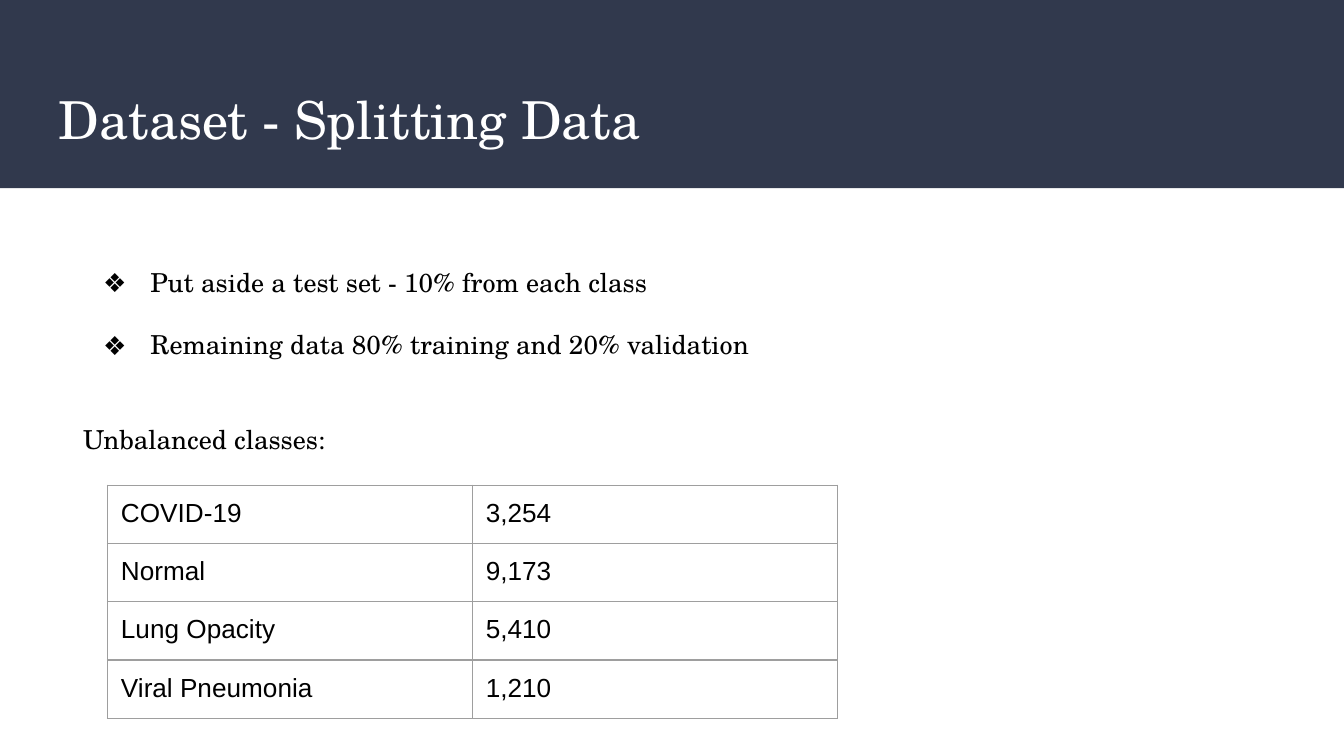
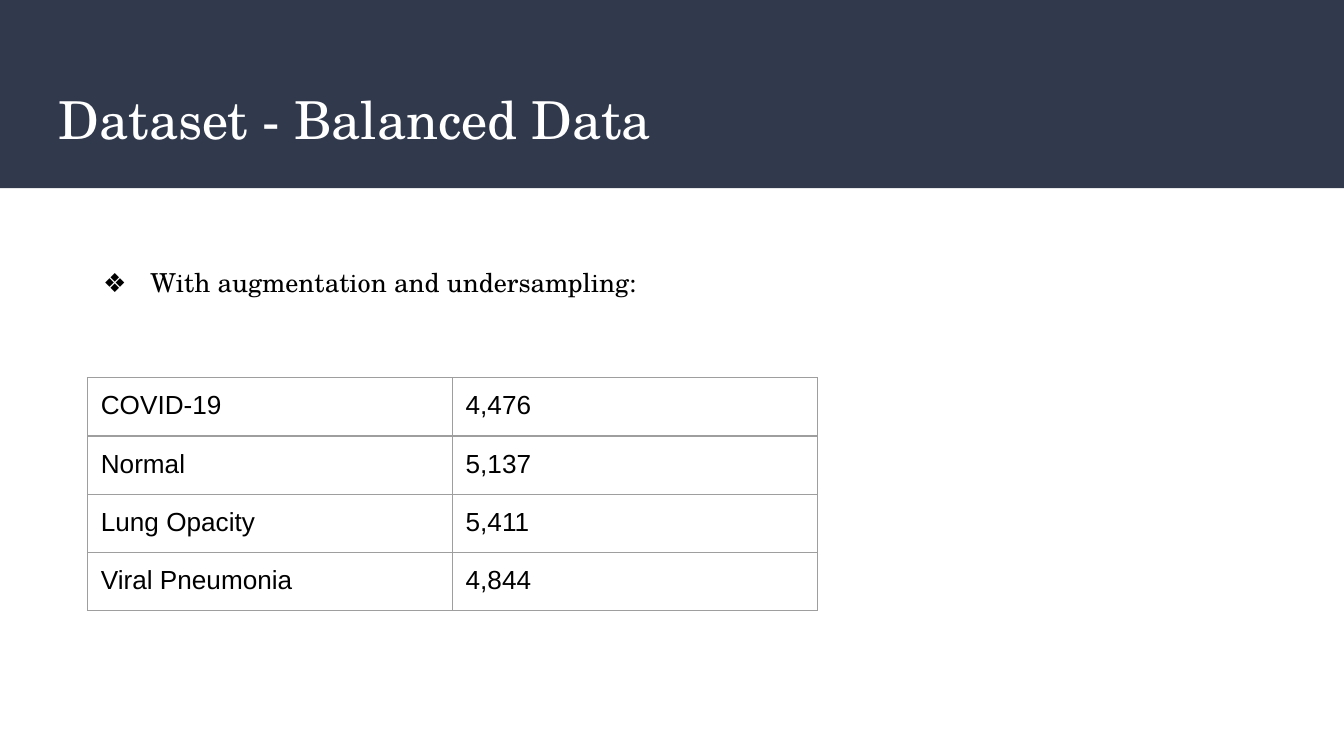
from dataclasses import dataclass

from lxml import etree
from pptx import Presentation
from pptx.dml.color import RGBColor
from pptx.enum.shapes import MSO_SHAPE
from pptx.enum.text import MSO_ANCHOR
from pptx.oxml.ns import qn
from pptx.util import Inches, Pt

RECTANGLE = MSO_SHAPE.RECTANGLE
TOP = MSO_ANCHOR.TOP
BLANK_LAYOUT = 6


@dataclass(frozen=True)
class Theme:
    band: str = "31394D"
    title: str = "FFFFFF"
    text: str = "000000"
    border: str = "9E9E9E"
    serif: str = "TeX Gyre Schola"
    sans: str = "Arial"
    title_size: float = 28
    body_size: float = 14
    line_height: float = 16.8
    border_width: float = 0.75
    inset: float = 0.1


THEME = Theme()
SLIDE_WIDTH = 10
SLIDE_HEIGHT = SLIDE_WIDTH * 9 / 16
BAND_BOX = (0, 0, SLIDE_WIDTH, 1.4)
TITLE_BOX = (0.34, 0.55, 9.32, 0.68)
TABLE_WIDTH, ROW_HEIGHT = 5.43, 0.43
BULLET_MARGIN, BULLET_INDENT = 0.5, -0.35
CLASSES = ("COVID-19", "Normal", "Lung Opacity", "Viral Pneumonia")


def write_text(paragraph, text, *, font=THEME.serif, size=THEME.body_size,
               color=THEME.text, blank_lines=0, bullet=None):
    """Fill a paragraph, spaced by whole lines and optionally bulleted."""
    run = paragraph.add_run()
    run.text = text
    run.font.name = font
    run.font.size = Pt(size)
    run.font.color.rgb = RGBColor.from_string(color)
    if blank_lines:
        paragraph.space_before = Pt(blank_lines * THEME.line_height)
    if bullet:
        properties = paragraph._p.get_or_add_pPr()
        properties.set("marL", str(Inches(BULLET_MARGIN)))
        properties.set("indent", str(Inches(BULLET_INDENT)))
        bullet_color = etree.SubElement(properties, qn("a:buClr"))
        etree.SubElement(bullet_color, qn("a:srgbClr"), val=color)
        etree.SubElement(properties, qn("a:buSzPts"), val=str(int(size * 100)))
        etree.SubElement(properties, qn("a:buFont"), typeface=font)
        etree.SubElement(properties, qn("a:buChar"), char=bullet)


def set_insets(target):
    """Give a text frame or table cell the same inset on every side."""
    target.margin_left = target.margin_right = Inches(THEME.inset)
    target.margin_top = target.margin_bottom = Inches(THEME.inset)


def add_text_box(slide, box, items):
    """Add a text box; items are (text, format) pairs, one per paragraph."""
    frame = slide.shapes.add_textbox(*map(Inches, box)).text_frame
    frame.word_wrap = True
    frame.vertical_anchor = TOP
    set_insets(frame)
    for index, (text, text_format) in enumerate(items):
        paragraph = frame.add_paragraph() if index else frame.paragraphs[0]
        write_text(paragraph, text, **text_format)


def add_header(slide, title):
    # Dark band
    band = slide.shapes.add_shape(RECTANGLE, *map(Inches, BAND_BOX))
    band.shadow.inherit = False
    band.fill.solid()
    band.fill.fore_color.rgb = RGBColor.from_string(THEME.band)
    band.line.fill.background()
    # Slide title
    title_format = {"size": THEME.title_size, "color": THEME.title}
    add_text_box(slide, TITLE_BOX, [(title, title_format)])


def set_borders(cell):
    properties = cell._tc.get_or_add_tcPr()
    for side in ("lnL", "lnR", "lnT", "lnB"):
        line = etree.SubElement(properties, qn(f"a:{side}"),
                                w=str(Pt(THEME.border_width)))
        fill = etree.SubElement(line, qn("a:solidFill"))
        etree.SubElement(fill, qn("a:srgbClr"), val=THEME.border)


def add_class_table(slide, left, top, counts):
    """Add the table of image counts per class."""
    rows = list(zip(CLASSES, counts))
    columns = len(rows[0])
    table = slide.shapes.add_table(
        len(rows), columns, Inches(left), Inches(top),
        Inches(TABLE_WIDTH), Inches(len(rows) * ROW_HEIGHT)).table
    table.first_row = table.horz_banding = False
    for table_row, values in zip(table.rows, rows):
        table_row.height = Inches(ROW_HEIGHT)
        for cell, value in zip(table_row.cells, values):
            set_insets(cell)
            set_borders(cell)
            cell.fill.background()
            write_text(cell.text_frame.paragraphs[0], value, font=THEME.sans)


def add_dataset_slide(presentation, title, body_box, items, table_corner, counts):
    slide = presentation.slides.add_slide(presentation.slide_layouts[BLANK_LAYOUT])
    add_header(slide, title)
    add_text_box(slide, body_box, items)
    add_class_table(slide, *table_corner, counts)


def main():
    presentation = Presentation()
    presentation.slide_width = Inches(SLIDE_WIDTH)
    presentation.slide_height = Inches(SLIDE_HEIGHT)

    # Raw split
    add_dataset_slide(
        presentation, "Dataset - Splitting Data", (0.52, 1.88, 8.03, 1.62),
        [("Put aside a test set - 10% from each class", {"bullet": "❖"}),
         ("Remaining data 80% training and 20% validation",
          {"bullet": "❖", "blank_lines": 1}),
         ("Unbalanced classes:", {"blank_lines": 2})],
        (0.8, 3.61), ("3,254", "9,173", "5,410", "1,210"))

    # Balanced classes
    add_dataset_slide(
        presentation, "Dataset - Balanced Data", (0.52, 1.88, 8.03, 0.44),
        [("With augmentation and undersampling:", {"bullet": "❖"})],
        (0.65, 2.81), ("4,476", "5,137", "5,411", "4,844"))

    presentation.save("out.pptx")


if __name__ == "__main__":
    main()
